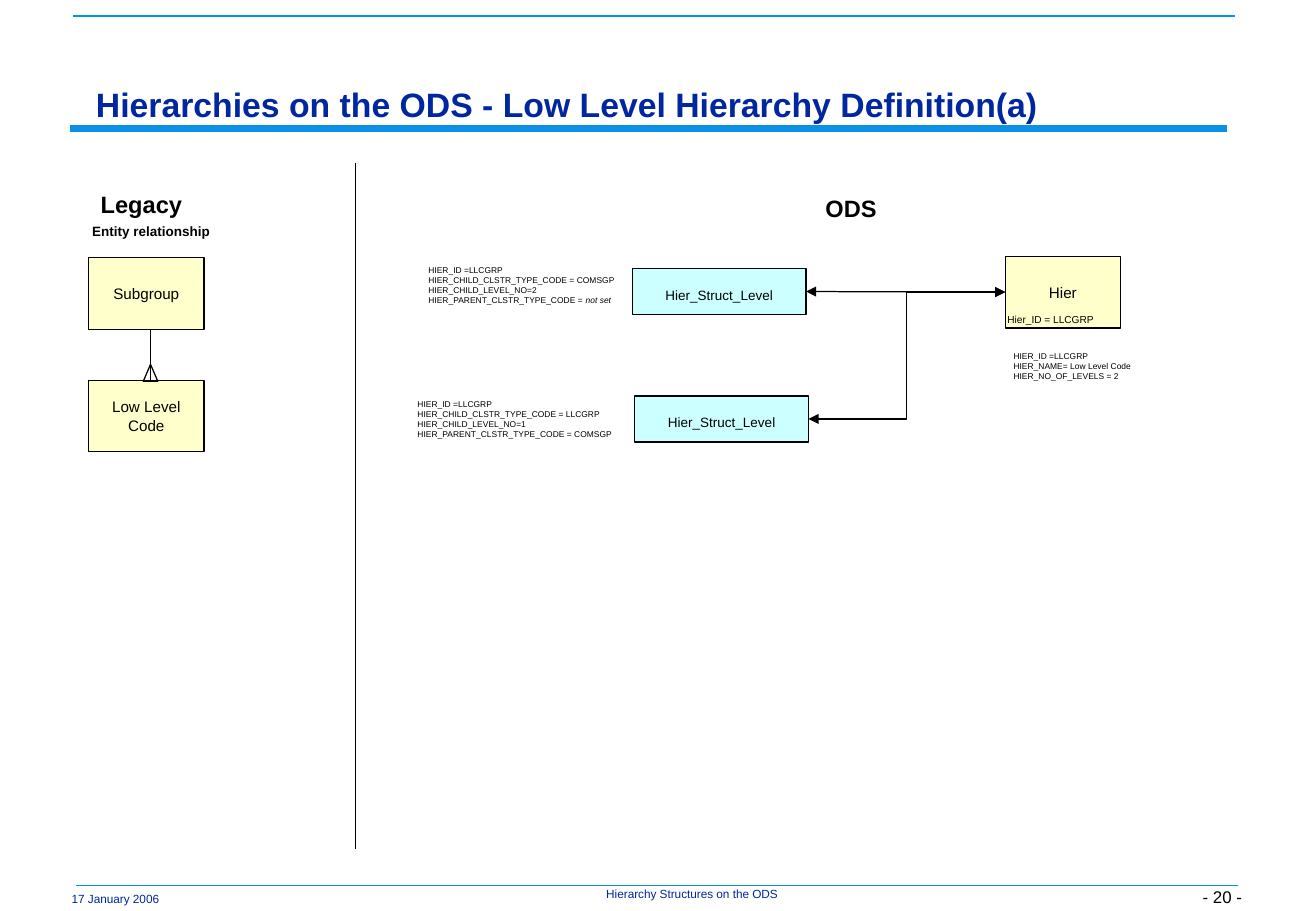
"""Build the slide on the low level hierarchy definition in the ODS."""
from dataclasses import dataclass

from lxml.etree import SubElement
from pptx import Presentation
from pptx.dml.color import RGBColor
from pptx.enum.shapes import MSO_CONNECTOR, MSO_SHAPE
from pptx.enum.text import MSO_ANCHOR, MSO_AUTO_SIZE, PP_ALIGN
from pptx.oxml.ns import qn
from pptx.util import Emu, Pt

EMU_PER_PX = 9144
LEFT_SITE, RIGHT_SITE = 1, 3
STANDARD_INSETS = (10, 5, 10, 5)
TIGHT_INSETS = (7, 3, 7, 3)


@dataclass(frozen=True)
class Theme:
    """Colours, font and sizes in points of the slide."""
    font: str = "Arial"
    ink: str = "000000"
    navy: str = "00279F"
    rule: str = "0A91E6"
    entity: str = "FFFFCC"
    level: str = "CCFFFF"
    title: int = 20
    heading: int = 14
    page: int = 10
    entity_name: int = 9
    level_name: int = 8
    footer: int = 7
    key: int = 6
    note: int = 5
    hairline: float = 0.75


THEME = Theme()


def px(length):
    """Turn pixels into EMU."""
    return Emu(length * EMU_PER_PX)


def write(frame, lines, size, colour=THEME.ink, bold=False, align=PP_ALIGN.LEFT,
          anchor=MSO_ANCHOR.MIDDLE, insets=STANDARD_INSETS, wrap=True, spacing=1.0):
    """Fill a text frame; a line is a string or a (plain, italic) pair."""
    frame.auto_size = MSO_AUTO_SIZE.NONE
    frame.word_wrap = wrap
    frame.vertical_anchor = anchor
    frame.margin_left, frame.margin_top, frame.margin_right, frame.margin_bottom = map(px, insets)
    for number, line in enumerate(lines):
        paragraph = frame.add_paragraph() if number else frame.paragraphs[0]
        paragraph.alignment = align
        paragraph.line_spacing = spacing
        paragraph.space_before = Pt(0)
        pieces = (line,) if isinstance(line, str) else line
        for position, piece in enumerate(pieces):
            run = paragraph.add_run()
            run.text = piece
            run.font.name = THEME.font
            run.font.size = Pt(size)
            run.font.bold = bold
            run.font.italic = position == 1
            run.font.color.rgb = RGBColor.from_string(colour)


def add_label(slide, box, lines, size, **style):
    """Add a text box."""
    label = slide.shapes.add_textbox(*map(px, box))
    write(label.text_frame, lines, size, **style)


def add_outline(slide, kind, box, fill=None):
    """Add a preset shape with a thin black outline."""
    outline = slide.shapes.add_shape(kind, *map(px, box))
    outline.shadow.inherit = False
    if fill:
        outline.fill.solid()
        outline.fill.fore_color.rgb = RGBColor.from_string(fill)
    else:
        outline.fill.background()
    outline.line.color.rgb = RGBColor.from_string(THEME.ink)
    outline.line.width = Pt(THEME.hairline)
    return outline


def add_entity(slide, left, top, name):
    """Add a yellow entity box."""
    entity = add_outline(slide, MSO_SHAPE.RECTANGLE, (left, top, 95, 59), THEME.entity)
    write(entity.text_frame, [name], THEME.entity_name, align=PP_ALIGN.CENTER)
    return entity


def add_level(slide, left, top):
    """Add a blue hierarchy level box."""
    level = add_outline(slide, MSO_SHAPE.RECTANGLE, (left, top, 143, 38), THEME.level)
    write(level.text_frame, ["Hier_Struct_Level"], THEME.level_name,
          align=PP_ALIGN.CENTER, spacing=1.4)
    return level


def add_line(slide, ends, colour=THEME.ink, width=THEME.hairline, kind=MSO_CONNECTOR.STRAIGHT):
    """Add a connector without a shadow."""
    line = slide.shapes.add_connector(kind, *map(px, ends))
    line.line.color.rgb = RGBColor.from_string(colour)
    line.line.width = Pt(width)
    SubElement(line._element.spPr, qn("a:effectLst"))
    return line


def add_double_arrow(slide, level, hier, kind):
    """Join a level to the hierarchy with a head at both ends."""
    arrow = add_line(slide, (0, 0, 0, 0), kind=kind)
    arrow.begin_connect(level, RIGHT_SITE)
    arrow.end_connect(hier, LEFT_SITE)
    outline = arrow.line._get_or_add_ln()
    for end in ("a:headEnd", "a:tailEnd"):
        SubElement(outline, qn(end), type="triangle")


def add_frame(slide):
    """Add the rules, the footer and the title."""
    add_line(slide, (58, 106, 1011, 106), THEME.rule, 4)
    add_line(slide, (63, 729, 1020, 729), THEME.rule, 1)
    add_line(slide, (60, 13, 1017, 13), THEME.rule, 1)
    add_label(slide, (970, 711, 60, 39), ["- 20 -"], THEME.page, align=PP_ALIGN.RIGHT,
              anchor=MSO_ANCHOR.BOTTOM, insets=TIGHT_INSETS)
    add_label(slide, (494, 731, 152, 11), ["Hierarchy Structures on the ODS"], THEME.footer,
              colour=THEME.navy, align=PP_ALIGN.CENTER, anchor=MSO_ANCHOR.TOP,
              insets=(0, 0, 0, 0), spacing=0.9)
    add_label(slide, (49, 729, 92, 22), ["17 January 2006"], THEME.footer,
              colour=THEME.navy, align=PP_ALIGN.CENTER, wrap=False)
    title = slide.shapes.title
    title.left, title.top, title.width, title.height = map(px, (64, 63, 963, 43))
    write(title.text_frame, ["Hierarchies on the ODS - Low Level Hierarchy Definition(a)"],
          THEME.title, colour=THEME.navy, bold=True, anchor=MSO_ANCHOR.BOTTOM,
          insets=(15, 3, 7, 3), spacing=0.97)


def add_legacy(slide):
    """Add the legacy entities and their one-to-many link."""
    add_label(slide, (73, 151, 87, 34), ["Legacy"], THEME.heading, bold=True,
              align=PP_ALIGN.CENTER, wrap=False)
    add_label(slide, (66, 178, 117, 24), ["Entity relationship"], THEME.level_name,
              bold=True, wrap=False)
    add_entity(slide, 73, 212, "Subgroup")
    add_entity(slide, 73, 313, "Low Level Code")
    add_line(slide, (124, 271, 124, 314))
    add_outline(slide, MSO_SHAPE.ISOSCELES_TRIANGLE, (118, 300, 12, 14))


def add_ods(slide):
    """Add the hierarchy, its two levels and their column values."""
    add_label(slide, (670, 154, 62, 34), ["ODS"], THEME.heading, bold=True,
              align=PP_ALIGN.CENTER, wrap=False)
    hier = add_entity(slide, 828, 211, "Hier")
    add_label(slide, (820, 253, 110, 20), ["Hier_ID = LLCGRP"], THEME.key)
    add_label(slide, (825, 284, 129, 35), [
        "HIER_ID =LLCGRP", "HIER_NAME= Low Level Code", "HIER_NO_OF_LEVELS = 2"], THEME.note)
    levels = (
        ((521, 221), (343, 213), "COMSGP", 2, ("not set",), MSO_CONNECTOR.STRAIGHT),
        ((523, 326), (334, 323), "LLCGRP", 1, "COMSGP", MSO_CONNECTOR.ELBOW),
    )
    for level_at, note_at, child, number, parent, route in levels:
        parent_label = "HIER_PARENT_CLSTR_TYPE_CODE = "
        parent_line = parent_label + parent if isinstance(parent, str) else (parent_label, *parent)
        add_label(slide, (*note_at, 188, 44), [
            "HIER_ID =LLCGRP",
            f"HIER_CHILD_CLSTR_TYPE_CODE = {child}",
            f"HIER_CHILD_LEVEL_NO={number}",
            parent_line], THEME.note)
        add_double_arrow(slide, add_level(slide, *level_at), hier, route)


def main():
    """Build and save the slide."""
    deck = Presentation()
    deck.slide_width, deck.slide_height = px(1084), px(750)
    slide = deck.slides.add_slide(deck.slide_layouts.get_by_name("Title Only"))
    add_frame(slide)
    add_legacy(slide)
    add_line(slide, (293, 134, 293, 699))
    add_ods(slide)
    deck.save("out.pptx")


if __name__ == "__main__":
    main()
